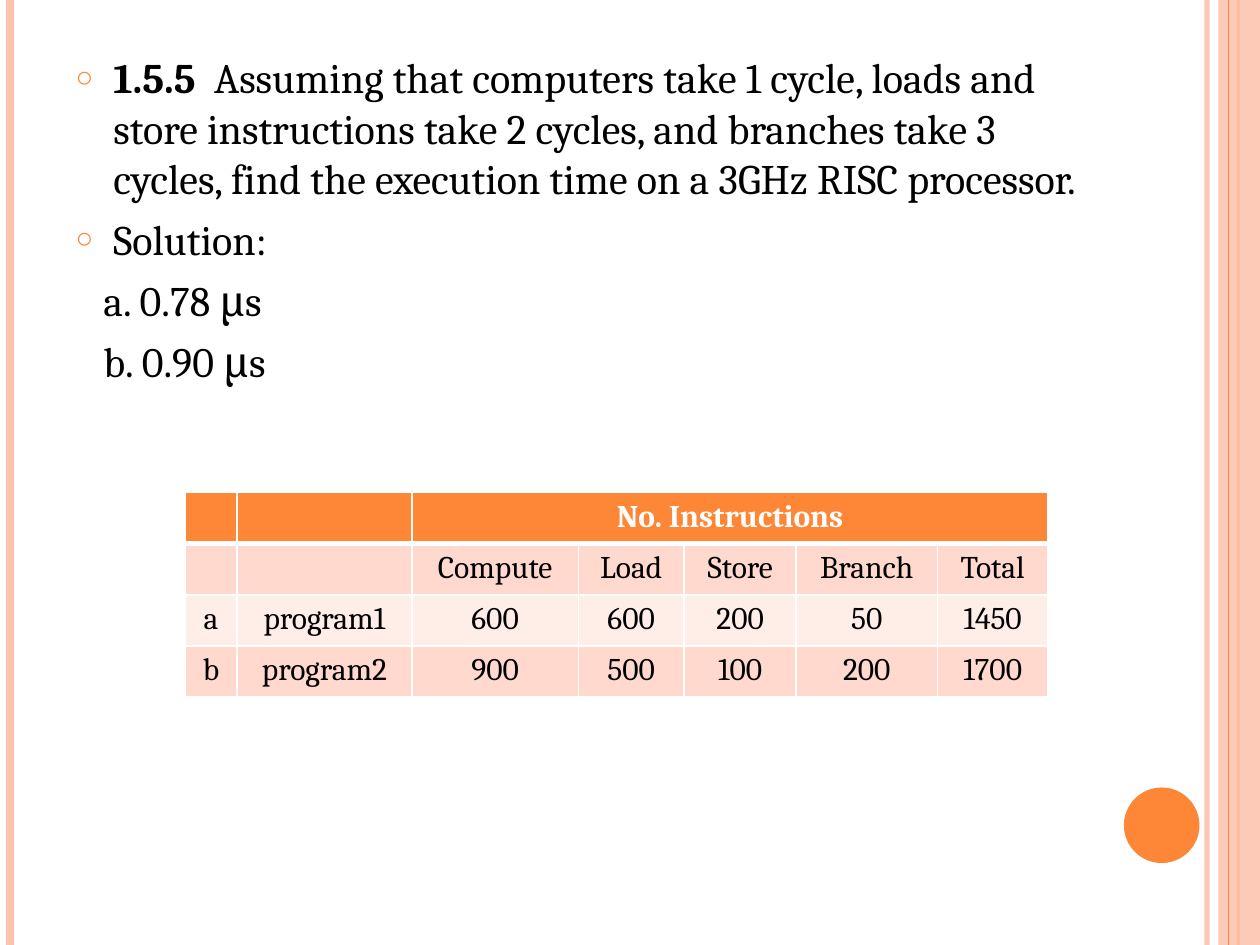
import pptx
import pptx.util
import pptx.dml.color
import pptx.enum.shapes
import pptx.enum.text
import pptx.oxml.ns
import lxml.etree

COLORS = {"accent": "FE8637", "stripe": "FEC3AE", "dark_band": "FFD9CE",
          "light_band": "FFEDE8", "text": "000000", "white": "FFFFFF"}
FONT = "Cambria"
qn = pptx.oxml.ns.qn
Inches = pptx.util.Inches
Pt = pptx.util.Pt


def rgb(name):
    return pptx.dml.color.RGBColor.from_string(COLORS[name])


def add_run(paragraph, text, size, color, bold=False):
    run = paragraph.add_run()
    run.text = text
    run.font.name = FONT
    run.font.size = Pt(size)
    run.font.bold = bold
    run.font.color.rgb = rgb(color)


presentation = pptx.Presentation()
presentation.slide_width = Inches(10)
presentation.slide_height = Inches(7.5)
width, height = presentation.slide_width, presentation.slide_height
slide = presentation.slides.add_slide(presentation.slide_layouts[1])
title = slide.shapes.title
title.element.getparent().remove(title.element)

band = slide.shapes.add_shape(pptx.enum.shapes.MSO_SHAPE.RECTANGLE,
                              Inches(9.67), 0, width - Inches(9.67), height)
circle = slide.shapes.add_shape(pptx.enum.shapes.MSO_SHAPE.OVAL,
                                Inches(8.92), Inches(6.25), Inches(0.6), Inches(0.6))
for shape, color in [(band, "stripe"), (circle, "accent")]:
    shape.shadow.inherit = False
    shape.fill.solid()
    shape.fill.fore_color.rgb = rgb(color)
    shape.line.fill.background()
band_color = band.element.spPr.find(qn("a:solidFill"))[0]
lxml.etree.SubElement(band_color, qn("a:alpha"), val="87000")

for x, color, weight, opacity in [(9.58, "stripe", 3, 93), (0.08, "stripe", 4.5, 100),
                                  (9.83, "accent", 1.5, 100), (9.75, "accent", 0.75, 100)]:
    connector = slide.shapes.add_connector(pptx.enum.shapes.MSO_CONNECTOR.STRAIGHT,
                                           Inches(x), 0, Inches(x), height)
    connector.line.width = Pt(weight)
    connector.line.color.rgb = rgb(color)
    properties = connector.element.spPr
    if opacity < 100:
        line_color = properties.find(qn("a:ln")).find(qn("a:solidFill"))[0]
        lxml.etree.SubElement(line_color, qn("a:alpha"), val=str(opacity * 1000))
    lxml.etree.SubElement(properties, qn("a:effectLst"))
    if x == 9.83:
        band.element.addprevious(connector.element)

body = slide.placeholders[1]
body.left, body.top, body.width, body.height = map(Inches, (0.5, 0.36, 8.17, 6.72))
text_frame = body.text_frame
text_frame.word_wrap = True
text_frame.auto_size = pptx.enum.text.MSO_AUTO_SIZE.NONE
text_frame.vertical_anchor = pptx.enum.text.MSO_ANCHOR.TOP

paragraphs = [
    (True, [("1.5.5  ", True),
            ("Assuming that computers take 1 cycle, loads and store instructions take "
             "2 cycles, and branches take 3 cycles, find the execution time on a 3GHz "
             "RISC processor.", False)]),
    (True, [("Solution:", False)]),
    (False, [("a. 0.78 μs", False)]),
    (False, [("b. 0.90 μs", False)]),
]
for index, (bulleted, runs) in enumerate(paragraphs):
    paragraph = text_frame.paragraphs[0] if index == 0 else text_frame.add_paragraph()
    properties = paragraph._p.get_or_add_pPr()
    properties.set("marL", str(Inches(0.3 if bulleted else 0.22)))
    properties.set("indent", str(Inches(-0.3 if bulleted else 0)))
    if bulleted:
        bullet_color = lxml.etree.SubElement(properties, qn("a:buClr"))
        lxml.etree.SubElement(bullet_color, qn("a:srgbClr"), val=COLORS["accent"])
        lxml.etree.SubElement(properties, qn("a:buSzPct"), val="70000")
        lxml.etree.SubElement(properties, qn("a:buChar"), char="○")
    else:
        lxml.etree.SubElement(properties, qn("a:buNone"))
    paragraph.space_before = Pt(6 if index else 0)
    for text, bold in runs:
        add_run(paragraph, text, 24, "text", bold)

rows = [
    ["", "", "No. Instructions", "", "", "", ""],
    ["", "", "Compute", "Load", "Store", "Branch", "Total"],
    ["a", "program1", "600", "600", "200", "50", "1450"],
    ["b", "program2", "900", "500", "100", "200", "1700"],
]
column_widths = [0.41, 1.39, 1.32, 0.84, 0.89, 1.12, 0.88]
row_height = 0.405
row_fills = ["accent", "dark_band", "light_band", "dark_band"]
table = slide.shapes.add_table(len(rows), len(column_widths), Inches(1.47), Inches(3.91),
                               Inches(sum(column_widths)),
                               Inches(row_height * len(rows))).table
for column, column_width in zip(table.columns, column_widths):
    column.width = Inches(column_width)
for row_index, values in enumerate(rows):
    table.rows[row_index].height = Inches(row_height)
    header = row_index == 0
    for column_index, value in enumerate(values):
        cell = table.cell(row_index, column_index)
        cell.fill.solid()
        cell.fill.fore_color.rgb = rgb(row_fills[row_index])
        properties = cell._tc.get_or_add_tcPr()
        for position, side in enumerate(["lnL", "lnR", "lnT", "lnB"]):
            thick = (header and side == "lnB") or (row_index == 1 and side == "lnT")
            border = lxml.etree.Element(qn("a:" + side), w=str(Pt(3 if thick else 1)))
            border_fill = lxml.etree.SubElement(border, qn("a:solidFill"))
            lxml.etree.SubElement(border_fill, qn("a:srgbClr"), val=COLORS["white"])
            properties.insert(position, border)
        if value:
            paragraph = cell.text_frame.paragraphs[0]
            paragraph.alignment = pptx.enum.text.PP_ALIGN.CENTER
            add_run(paragraph, value, 18, "white" if header else "text", header)
table.cell(0, 2).merge(table.cell(0, 6))

presentation.save("out.pptx")
